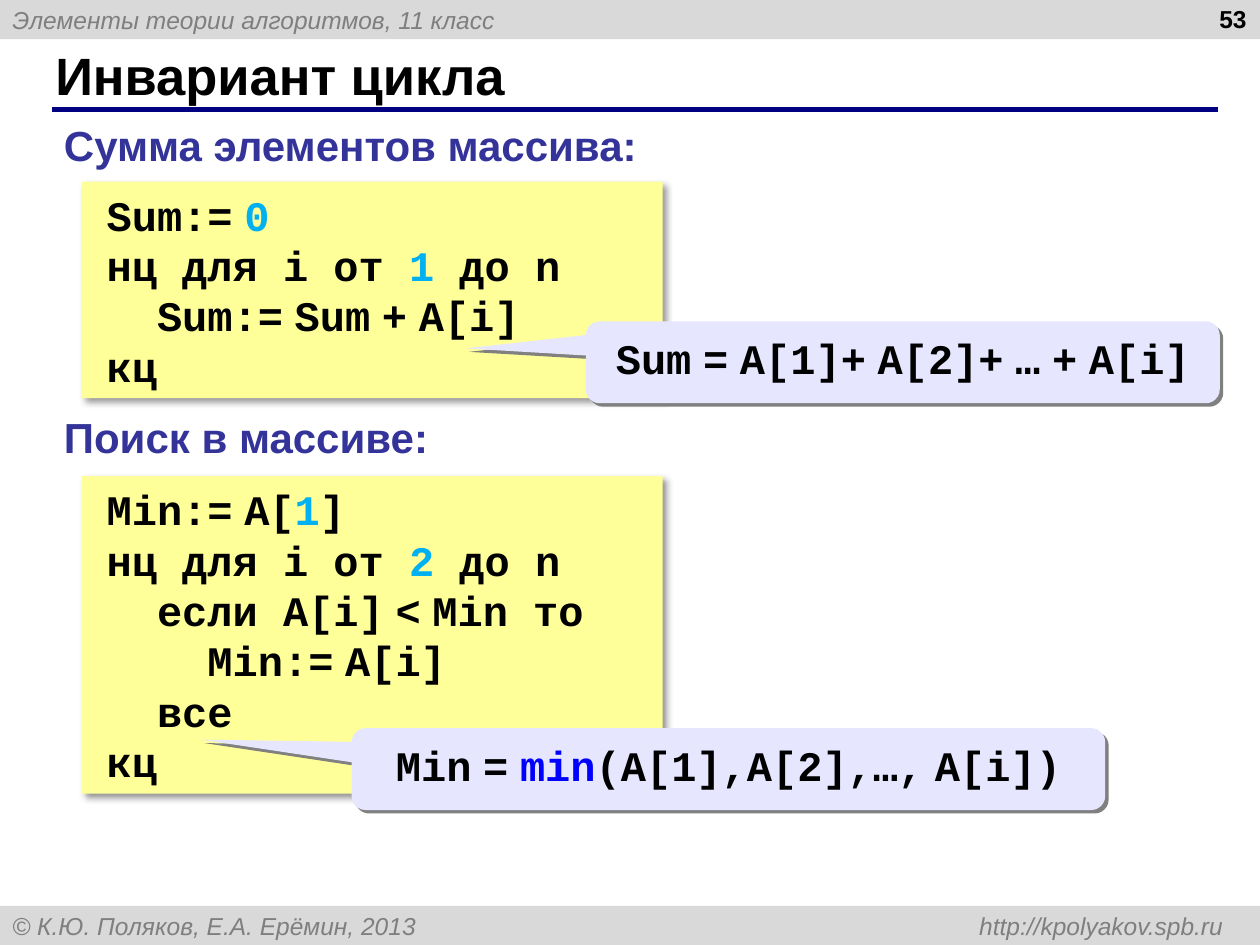
from lxml.etree import SubElement
from pptx import Presentation
from pptx.dml.color import RGBColor
from pptx.enum.shapes import MSO_CONNECTOR, MSO_SHAPE
from pptx.enum.text import MSO_ANCHOR, MSO_AUTO_SIZE, PP_ALIGN
from pptx.oxml.ns import qn
from pptx.util import Cm, Pt

NUMBER, KEYWORD = "00B0F0", "0000FF"


def color(value):
    return RGBColor.from_string(value)


class SlideBuilder:
    """Holds the style of the lesson and the current slide."""

    text_font, code_font = "Arial", "Courier New"
    black, gray, band_fill = "000000", "7F7F7F", "D9D9D9"
    heading_color, rule_color = "333399", "000080"
    code_fill, callout_fill = "FFFF99", "E6E6FF"

    def __init__(self, page):
        self.page = page

    def style(self, para, size, value, name=text_font, bold=True, italic=False):
        font = para.font
        font.name, font.size, font.bold, font.italic = name, Pt(size), bold, italic
        font.color.rgb = color(value)

    def shape(self, kind, place, fill):
        box = self.page.shapes.add_shape(kind, *map(Cm, place))
        box.fill.solid()
        box.fill.fore_color.rgb = color(fill)
        box.line.fill.background()
        box.shadow.inherit = False
        box.text_frame.vertical_anchor = MSO_ANCHOR.MIDDLE
        return box

    def drop_shadow(self, box, value, opacity, blur, distance):
        effects = box._element.spPr.find(qn("a:effectLst"))
        shadow = SubElement(effects, qn("a:outerShdw"), blurRad=str(Pt(blur)),
                            dist=str(Pt(distance)), dir="2700000",
                            algn="tl", rotWithShape="0")
        tint = SubElement(shadow, qn("a:srgbClr"), val=value)
        SubElement(tint, qn("a:alpha"), val=str(opacity * 1000))

    def band(self, top, text, tab=None):
        box = self.shape(MSO_SHAPE.RECTANGLE, (0, top, 25.4, 0.79), self.band_fill)
        para = box.text_frame.paragraphs[0]
        para.text = text
        para.alignment = PP_ALIGN.LEFT
        if tab:
            tabs = SubElement(para._p.get_or_add_pPr(), qn("a:tabLst"))
            SubElement(tabs, qn("a:tab"), pos=str(Cm(tab)), algn="r")
        self.style(para, 14, self.gray, bold=False, italic=True)

    def rule(self, left, right, top):
        line = self.page.shapes.add_connector(
            MSO_CONNECTOR.STRAIGHT, Cm(left), Cm(top), Cm(right), Cm(top))
        line.line.color.rgb = color(self.rule_color)
        line.line.width = Pt(3)
        SubElement(line._element.spPr, qn("a:effectLst"))

    def title(self, place, text):
        box = self.page.shapes.title
        box.left, box.top, box.width, box.height = map(Cm, place)
        box.text_frame.vertical_anchor = MSO_ANCHOR.MIDDLE
        para = box.text_frame.paragraphs[0]
        para.text = text
        para.alignment = PP_ALIGN.LEFT
        self.style(para, 30, self.black)

    def label(self, place, text, size, value, align=PP_ALIGN.LEFT, wrap=False):
        frame = self.page.shapes.add_textbox(*map(Cm, place)).text_frame
        frame.word_wrap = wrap
        if not wrap:
            frame.auto_size = MSO_AUTO_SIZE.SHAPE_TO_FIT_TEXT
        para = frame.paragraphs[0]
        para.text = text
        para.alignment = align
        self.style(para, size, value)

    def code_line(self, para, spans):
        """Write (text, color) spans; "_" stands for a narrow space in the text font."""
        self.style(para, 24, self.black, self.code_font)
        for text, value in spans:
            for index, piece in enumerate(text.split("_")):
                if index:
                    gap = para.add_run()
                    gap.text = " "
                    gap.font.name = self.text_font
                if piece:
                    span = para.add_run()
                    span.text = piece
                    if value:
                        span.font.color.rgb = color(value)

    def code(self, place, lines):
        box = self.shape(MSO_SHAPE.RECTANGLE, place, self.code_fill)
        self.drop_shadow(box, "000000", 40, 4, 3)
        frame = box.text_frame
        frame.auto_size = MSO_AUTO_SIZE.SHAPE_TO_FIT_TEXT
        for index, spans in enumerate(lines):
            para = frame.add_paragraph() if index else frame.paragraphs[0]
            para.alignment = PP_ALIGN.LEFT
            para._p.get_or_add_pPr().set("marL", str(Cm(0.25)))
            self.code_line(para, spans)

    def callout(self, place, tip, spans):
        box = self.shape(MSO_SHAPE.ROUNDED_RECTANGULAR_CALLOUT, place,
                         self.callout_fill)
        for index, value in enumerate((*tip, 0.17)):
            box.adjustments[index] = value
        self.drop_shadow(box, "808080", 100, 0, 2.8)
        para = box.text_frame.paragraphs[0]
        para.alignment = PP_ALIGN.CENTER
        para.line_spacing = 0.8
        para.space_after = Pt(10)
        self.code_line(para, spans)


def plain(text):
    return [(text, None)]


def loop_header(start):
    return [("нц для i от ", None), (start, NUMBER), (" до n", None)]


def main():
    deck = Presentation()
    deck.slide_width, deck.slide_height = Cm(25.4), Cm(19.05)
    builder = SlideBuilder(deck.slides.add_slide(deck.slide_layouts[5]))

    # Page frame
    builder.band(0, "Элементы теории алгоритмов, 11 класс")
    builder.band(18.26, "© К.Ю. Поляков, Е.А. Ерёмин, 2013 \thttp://kpolyakov.spb.ru",
                 tab=24.41)
    builder.rule(1.04, 24.56, 2.21)
    builder.title((0.86, 0.84, 23.27, 1.32), "Инвариант цикла")
    builder.label((19.46, -0.05, 5.92, 1.32), "53", 14, builder.black,
                  PP_ALIGN.RIGHT, wrap=True)

    # Sum of the array
    builder.label((1.04, 2.29, 12.27, 1.27), "Сумма элементов массива:", 24,
                  builder.heading_color)
    builder.code((1.65, 3.66, 11.71, 4.37), [
        [("Sum:=_", None), ("0", NUMBER)],
        loop_header("1"),
        plain("  Sum:=_Sum_+_A[i]"),
        plain("кц"),
    ])
    builder.callout((11.81, 6.48, 12.78, 1.65), (-0.69, -0.17),
                    plain("Sum_=_A[1]+_A[2]+_…_+_A[i]"))

    # Search for the minimum
    builder.label((1.04, 8.18, 7.95, 1.27), "Поиск в массиве:", 24,
                  builder.heading_color)
    builder.code((1.65, 9.6, 11.71, 6.4), [
        [("Min:=_A[", None), ("1", NUMBER), ("]", None)],
        loop_header("2"),
        plain("  если A[i]_<_Min то"),
        plain("    Min:=_A[i]"),
        plain("  все"),
        plain("кц"),
    ])
    builder.callout((7.09, 14.68, 15.19, 1.65), (-0.7, -0.36),
                    [("Min_=_", None), ("min", KEYWORD),
                     ("(A[1],A[2],…,_A[i])", None)])

    deck.save("out.pptx")


if __name__ == "__main__":
    main()
